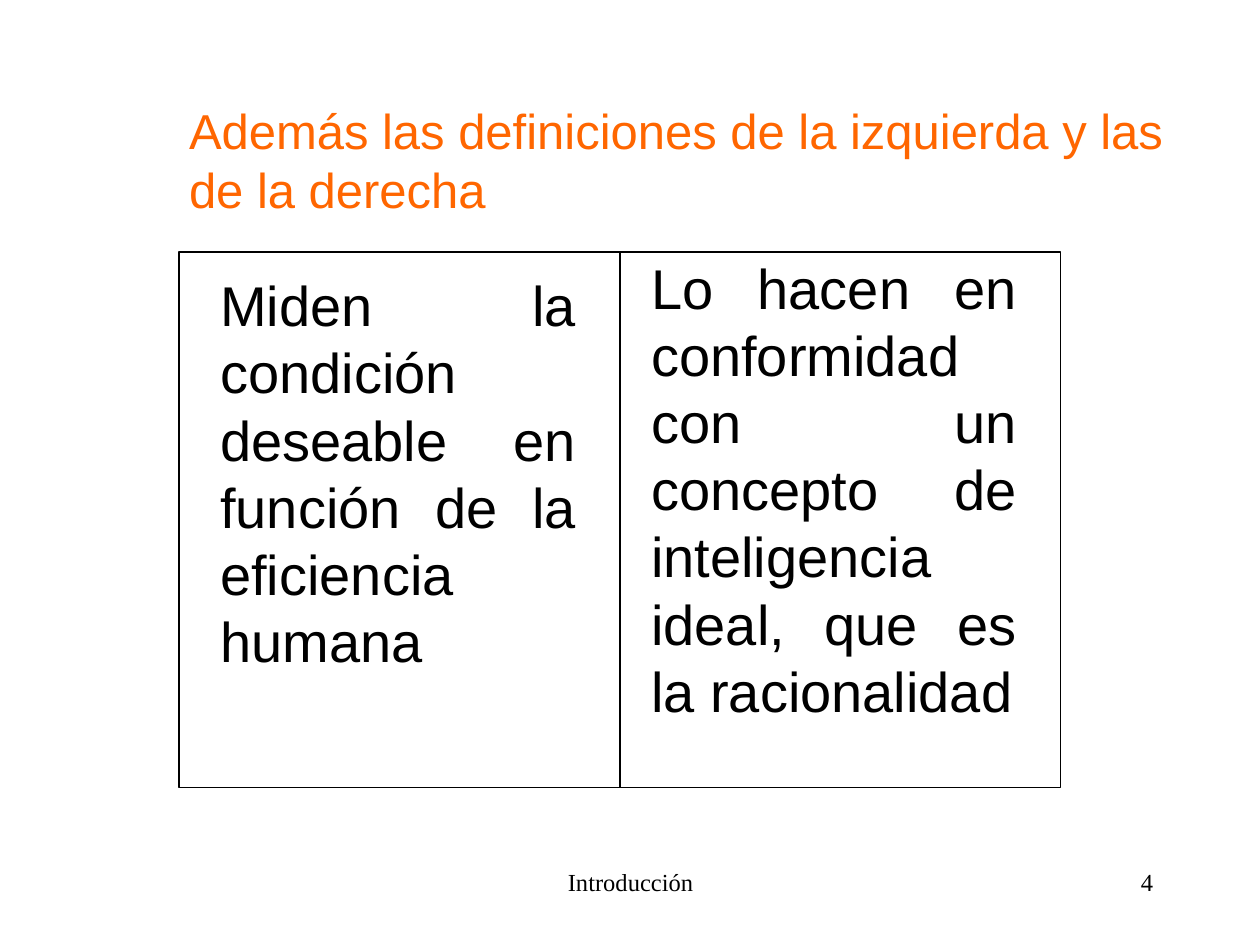
"""Build the slide contrasting the left-hand and right-hand definitions."""
from lxml.etree import SubElement
from pptx import Presentation
from pptx.dml.color import RGBColor
from pptx.enum.shapes import MSO_CONNECTOR, MSO_SHAPE
from pptx.enum.text import MSO_ANCHOR, MSO_AUTO_SIZE, PP_ALIGN as Align
from pptx.oxml.ns import qn
from pptx.util import Pt

PX = 9144
COLORS = {"text": "000000", "title": "FF6600", "line": "000000"}


def place(*lengths):
    return [length * PX for length in lengths]


def write(box, text, font, size, color, align):
    frame = box.text_frame
    frame.word_wrap = True
    frame.auto_size = MSO_AUTO_SIZE.NONE
    frame.vertical_anchor = MSO_ANCHOR.TOP
    para = frame.paragraphs[0]
    para.text = text
    para.alignment = align
    para.font.name = font
    para.font.size = Pt(size)
    para.font.color.rgb = RGBColor.from_string(COLORS[color])


deck = Presentation()
deck.slide_width, deck.slide_height = place(1000, 750)
slide = deck.slides.add_slide(deck.slide_layouts[5])
shapes = slide.shapes

title = shapes.title
title.left, title.top, title.width, title.height = place(140, 75, 802, 104)
write(title, "Además las definiciones de la izquierda y las de la derecha",
      "Arial", 28, "title", Align.LEFT)

frame_left, frame_top, frame_width, frame_height = 142, 200, 700, 425
border = shapes.add_shape(
    MSO_SHAPE.RECTANGLE, *place(frame_left, frame_top, frame_width, frame_height))
border.shadow.inherit = False
border.fill.background()

middle = frame_left + frame_width // 2
divider = shapes.add_connector(
    MSO_CONNECTOR.STRAIGHT, *place(middle, frame_top, middle, frame_top + frame_height))
SubElement(divider.element.spPr, qn("a:effectLst"))

for outline in (border.line, divider.line):
    outline.color.rgb = RGBColor.from_string(COLORS["line"])
    outline.width = Pt(0.75)

texts = [
    ((165, 210, 302, 330),
     "Miden la condición deseable en función de la eficiencia humana",
     "Arial", 32, Align.JUSTIFY),
    ((507, 196, 310, 384),
     "Lo hacen en conformidad con un concepto de inteligencia ideal, "
     "que es la racionalidad",
     "Arial", 32, Align.JUSTIFY),
    ((342, 683, 317, 50), "Introducción", "Times New Roman", 14, Align.CENTER),
    ((717, 683, 208, 50), "4", "Times New Roman", 14, Align.RIGHT),
]
for position, text, font, size, align in texts:
    box = shapes.add_textbox(*place(*position))
    write(box, text, font, size, "text", align)

deck.save("out.pptx")
